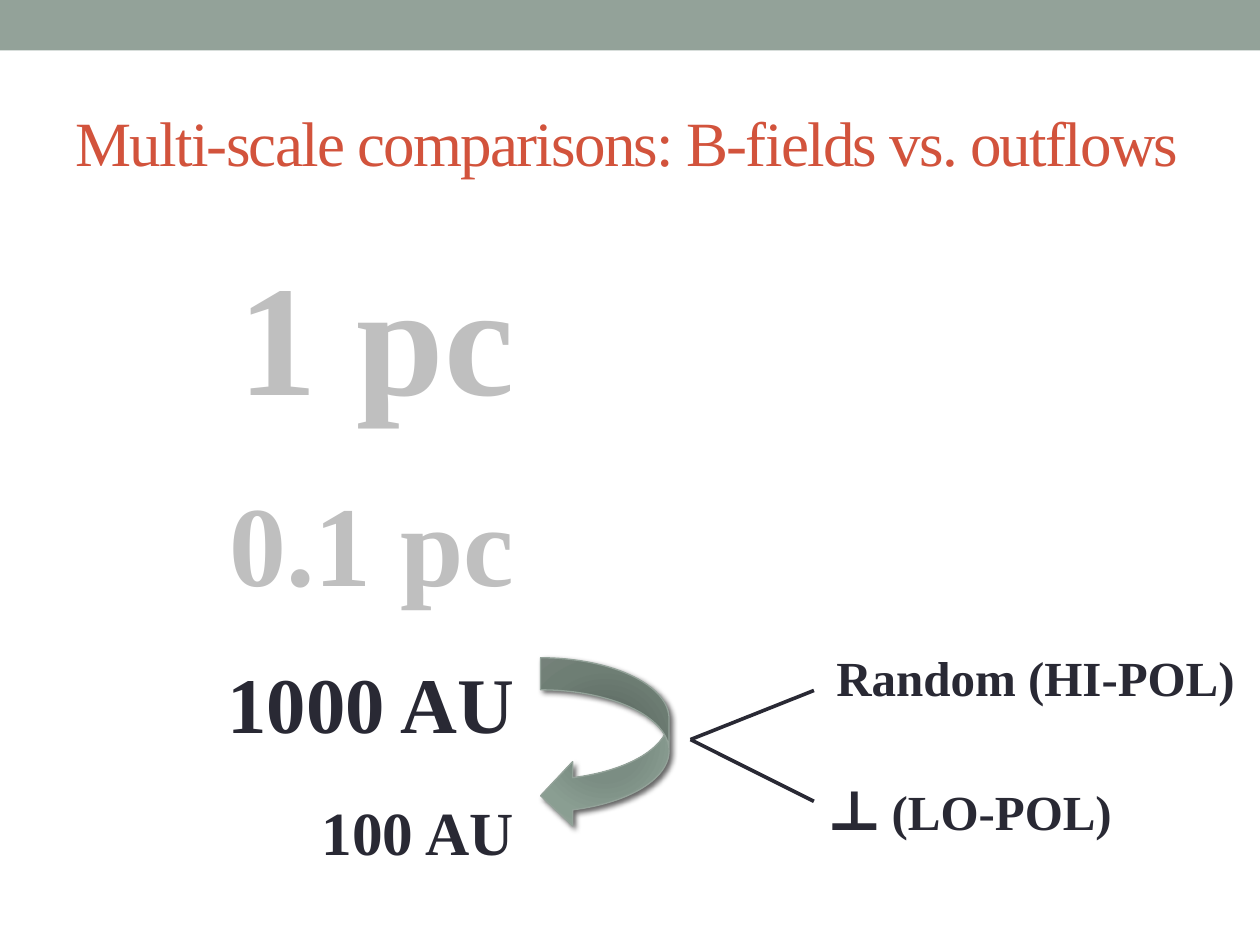
from lxml import etree
from pptx import Presentation, util as u
from pptx.dml.color import RGBColor
from pptx.enum import shapes, text
from pptx.oxml import parse_xml
from pptx.oxml.ns import nsdecls, qn

WIDTH, HEIGHT = 10, 7.5
FONT = "Times New Roman"
COLORS = {"sage": "93A299", "title": "D2533C", "muted": "BFBFBF", "ink": "292934"}
TITLE = "Multi-scale comparisons: B-fields vs. outflows"
SCALES = [("1 pc", 90, "muted"), ("0.1 pc", 65, "muted"),
          ("1000 AU", 45, "ink"), ("100 AU", 35, "ink")]
OUTCOMES = [
    {"box": (6.54, 5.09, 4.06, 0.66), "wrap": True, "runs": [("Random (HI-POL)", 28)]},
    {"box": (6.48, 5.99, 2.5, 0.77), "wrap": False, "runs": [("⟂ ", 40), ("(LO-POL)", 28)]},
]
FORK = (5.48, 5.87)
FORK_ENDS = [(6.46, 5.48), (6.46, 6.36)]
ARROW_BOX = (4.29, 5.22, 1.02, 1.35)
ARROW_STOPS = [(0, "7B8E82"), (34, "7B8D83"), (70, "8A9E92"), (100, "93A299")]


def color(name):
    return RGBColor.from_string(COLORS[name])


def inches(values):
    return [u.Inches(value) for value in values]


def place(shape, box):
    shape.left, shape.top, shape.width, shape.height = inches(box)


def write(paragraph, content, size, ink="ink", bold=True, spacing=None):
    run = paragraph.add_run()
    run.text = content
    run.font.name = FONT
    run.font.size = u.Pt(size)
    run.font.bold = bold
    run.font.color.rgb = color(ink)
    if spacing is not None:
        run.font._element.set("spc", str(spacing * 100))


def add_band(slide):
    band = slide.shapes.add_shape(shapes.MSO_SHAPE.RECTANGLE, *inches((0, 0, WIDTH, 0.4)))
    band.shadow.inherit = False
    band.fill.solid()
    band.fill.fore_color.rgb = color("sage")
    band.line.fill.background()


def add_title(slide):
    title = slide.shapes.title
    place(title, (0.5, 0.58, 9, 1.08))
    frame = title.text_frame
    frame.vertical_anchor = text.MSO_ANCHOR.MIDDLE
    frame.paragraphs[0].alignment = text.PP_ALIGN.LEFT
    write(frame.paragraphs[0], TITLE, 36, ink="title", bold=False, spacing=-1)


def add_scales(slide):
    body = slide.placeholders[1]
    place(body, (1.24, 1.7, 2.94, 4.96))
    frame = body.text_frame
    frame.margin_top = u.Inches(0.19)
    frame.auto_size = text.MSO_AUTO_SIZE.NONE
    for index, (label, size, ink) in enumerate(SCALES):
        paragraph = frame.add_paragraph() if index else frame.paragraphs[0]
        properties = paragraph._p.get_or_add_pPr()
        properties.set("marL", "0")
        properties.set("indent", "0")
        etree.SubElement(properties, qn("a:buNone"))
        paragraph.alignment = text.PP_ALIGN.RIGHT
        paragraph.space_before = u.Pt(26 if index else 0)
        write(paragraph, label, size, ink=ink)


def add_arrow(slide):
    arrow = slide.shapes.add_shape(shapes.MSO_SHAPE.CURVED_LEFT_ARROW, *inches(ARROW_BOX))
    arrow.line.color.rgb = color("sage")
    arrow.line.width = u.Pt(0.75)
    stops = "".join(f'<a:gs pos="{position * 1000}"><a:srgbClr val="{value}"/></a:gs>'
                    for position, value in ARROW_STOPS)
    gradient = parse_xml(
        f'<a:gradFill {nsdecls("a")} rotWithShape="1"><a:gsLst>{stops}</a:gsLst>'
        '<a:path path="circle"><a:fillToRect l="100000" t="100000" r="100000" b="100000"/>'
        '</a:path></a:gradFill>')
    shadow = parse_xml(
        f'<a:effectLst {nsdecls("a")}><a:outerShdw blurRad="{u.Pt(3)}" dist="{u.Pt(2)}" '
        'dir="2700000" algn="tl" rotWithShape="0"><a:srgbClr val="000000">'
        '<a:alpha val="60000"/></a:srgbClr></a:outerShdw></a:effectLst>')
    properties = arrow._element.spPr
    properties.find(qn("a:prstGeom")).addnext(gradient)
    properties.append(shadow)


def add_outcome(slide, outcome):
    frame = slide.shapes.add_textbox(*inches(outcome["box"])).text_frame
    frame.word_wrap = outcome["wrap"]
    frame.auto_size = text.MSO_AUTO_SIZE.SHAPE_TO_FIT_TEXT
    for label, size in outcome["runs"]:
        write(frame.paragraphs[0], label, size)


def add_branch(slide, end):
    branch = slide.shapes.add_connector(shapes.MSO_CONNECTOR.STRAIGHT, *inches(FORK + end))
    branch.line.color.rgb = color("ink")
    branch.line.width = u.Pt(2.08)
    etree.SubElement(branch._element.spPr, qn("a:effectLst"))


def main():
    presentation = Presentation()
    presentation.slide_width, presentation.slide_height = inches((WIDTH, HEIGHT))
    slide = presentation.slides.add_slide(presentation.slide_layouts[1])
    add_band(slide)
    add_title(slide)
    add_scales(slide)
    add_arrow(slide)
    for outcome in OUTCOMES:
        add_outcome(slide, outcome)
    for end in FORK_ENDS:
        add_branch(slide, end)
    presentation.save("out.pptx")


if __name__ == "__main__":
    main()
